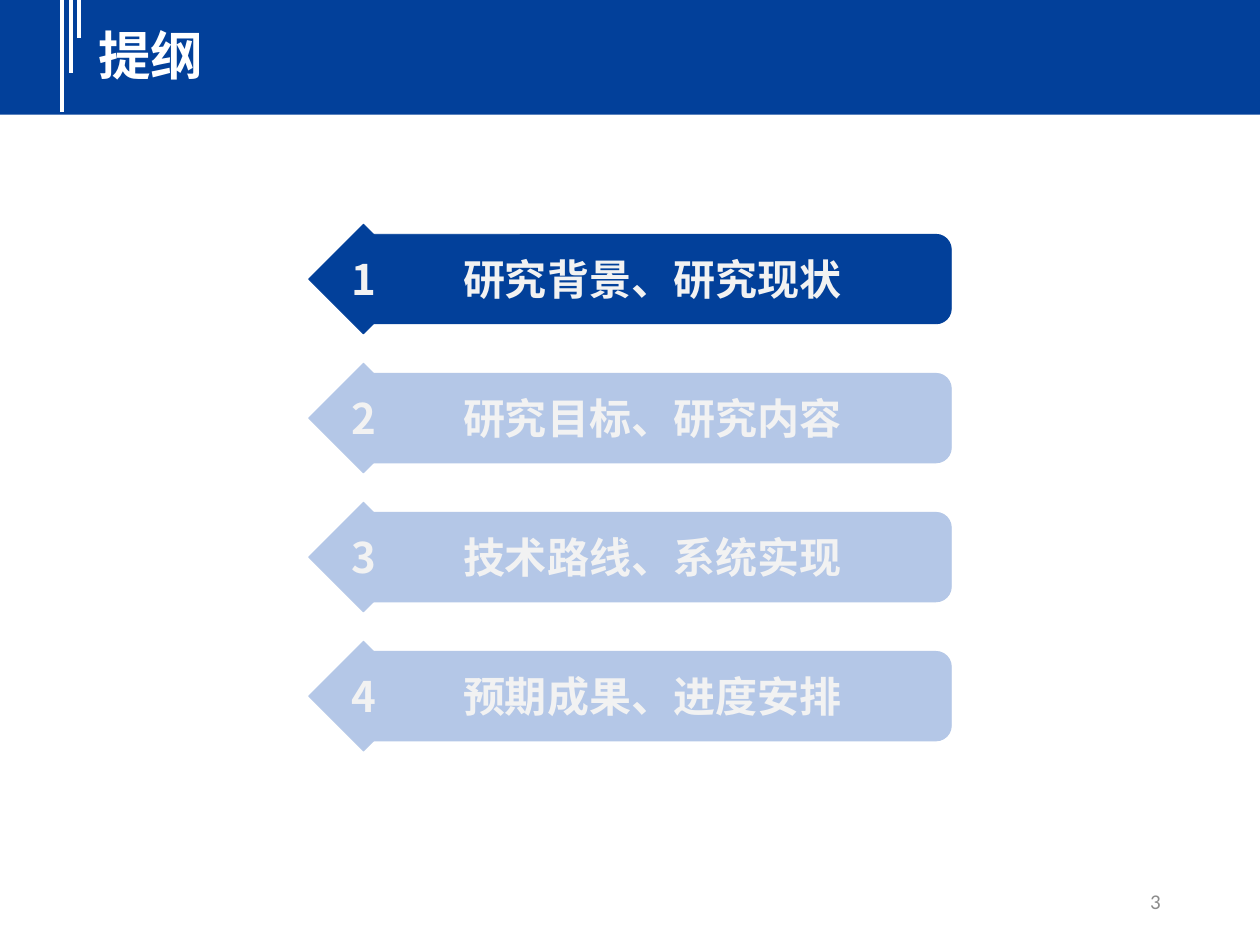
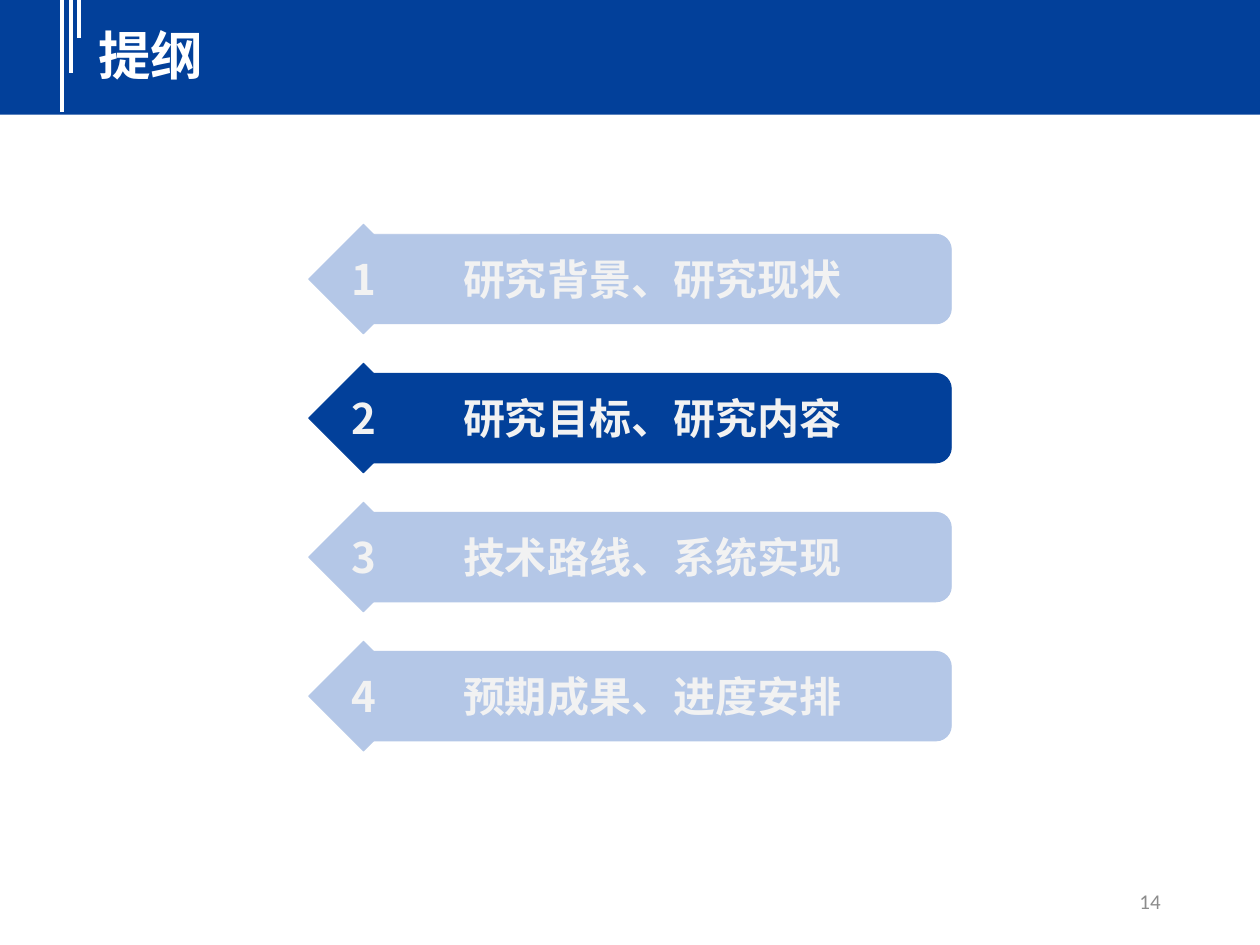
from collections import namedtuple

from lxml.etree import SubElement
from pptx import Presentation
from pptx.dml.color import RGBColor
from pptx.enum.shapes import MSO_CONNECTOR as Connector, MSO_SHAPE as Shape
from pptx.enum.text import MSO_ANCHOR as Anchor, PP_ALIGN as Align
from pptx.oxml.ns import qn
from pptx.util import Inches, Pt

# Shared look
BLUE = RGBColor(0x02, 0x40, 0x9A)
PALE_BLUE = RGBColor(0xB4, 0xC7, 0xE7)
WHITE = RGBColor(0xFF, 0xFF, 0xFF)
OFF_WHITE = RGBColor(0xF2, 0xF2, 0xF2)
GREY = RGBColor(0x8C, 0x8C, 0x8C)
LATIN_FONT = "Calibri"
CHINESE_FONT = "Noto Sans CJK SC"

# The slide is a grid of 100 columns by 75 rows of square cells
COLUMNS, ROWS = 100, 75
CELL = Inches(0.1)
Box = namedtuple("Box", "left top width height")
HEADER = Box(0, -0.3, COLUMNS, 9.4)
AGENDA = Box(24.5, 17.8, 51, 41.8)
PAGE_NUMBER = Box(70.6, 69.5, 22.5, 4)

TITLE = "提纲"
TOPICS = ["研究背景、研究现状", "研究目标、研究内容",
          "技术路线、系统实现", "预期成果、进度安排"]
PAGES = [(3, 1), (14, 2)]  # page number, highlighted topic


def cells(*counts):
    return [round(count * CELL) for count in counts]


def inside(box, left, top, width, height):
    """A box placed relative to the corner of another one."""
    return Box(box.left + left, box.top + top, width, height)


def write(shape, text, size, color, font=LATIN_FONT, bold=False,
          align=Align.LEFT, wrap=True, spacing=1.0):
    frame = shape.text_frame
    frame.word_wrap = wrap
    frame.vertical_anchor = Anchor.MIDDLE
    para = frame.paragraphs[0]
    para.alignment = align
    para.line_spacing = spacing
    span = para.add_run()
    span.text = text
    span.font.size, span.font.bold = Pt(size), bold
    span.font.color.rgb = color
    span.font.name = font
    east_asian = SubElement(span.font._element, qn("a:ea"))
    east_asian.set("typeface", CHINESE_FONT)


def add_block(shapes, kind, box, color, outlined=True):
    block = shapes.add_shape(kind, *cells(*box))
    block.shadow.inherit = False
    block.fill.solid()
    block.fill.fore_color.rgb = color
    if outlined:
        block.line.color.rgb = color
        block.line.width = Pt(0.5)
    else:
        block.line.fill.background()
    return block


def add_header(page, box):
    # Band
    add_block(page.shapes, Shape.RECTANGLE, box, BLUE, outlined=False)
    # Hanging stripes, each shorter than the one before
    for index, length in enumerate([9.2, 6.1, 3.3]):
        x = box.left + 4.9 + 0.7 * index
        stripe = page.shapes.add_connector(
            Connector.STRAIGHT, *cells(x, box.top, x, box.top + length))
        stripe.line.color.rgb = WHITE
        stripe.line.width = Pt(2.25)
        SubElement(stripe.element.spPr, qn("a:effectLst"))
    # Title, brought in front of the band
    title = page.shapes.title
    title.left, title.top, title.width, title.height = cells(
        *inside(box, 6.8, 1.9, 91.2, 6.1))
    write(title, TITLE, 30, WHITE, font=CHINESE_FONT, bold=True, spacing=0.9)
    page.shapes.element.append(title.element)


def add_topic(page, box, number, text, color):
    group = page.shapes.add_group_shape()
    style = dict(size=24, color=OFF_WHITE, bold=True,
                 align=Align.CENTER, wrap=False)
    # Bar
    bar_box = inside(box, 3.5, 0.8, box.width - 3.5, box.height - 1.6)
    bar = add_block(group.shapes, Shape.ROUNDED_RECTANGLE, bar_box, color)
    bar.adjustments[0] = 0.17
    write(bar, text, **style)
    # Numbered diamond
    diamond_box = inside(box, 0, 0, box.height, box.height)
    diamond = add_block(group.shapes, Shape.DIAMOND, diamond_box, color)
    write(diamond, str(number), font=CHINESE_FONT, **style)


def add_agenda(page, box, current):
    height = 8.7
    pitch = (box.height - height) / (len(TOPICS) - 1)
    for index, topic in enumerate(TOPICS):
        number = index + 1
        color = BLUE if number == current else PALE_BLUE
        row = inside(box, 0, index * pitch, box.width, height)
        add_topic(page, row, number, topic, color)


def add_page_number(page, box, number):
    label = page.shapes.add_textbox(*cells(*box))
    write(label, str(number), 12, GREY, align=Align.RIGHT)


def main():
    deck = Presentation()
    deck.slide_width, deck.slide_height = cells(COLUMNS, ROWS)
    title_only = deck.slide_layouts[5]
    for number, current in PAGES:
        page = deck.slides.add_slide(title_only)
        add_header(page, HEADER)
        add_agenda(page, AGENDA, current)
        add_page_number(page, PAGE_NUMBER, number)
    deck.save("out.pptx")


if __name__ == "__main__":
    main()
